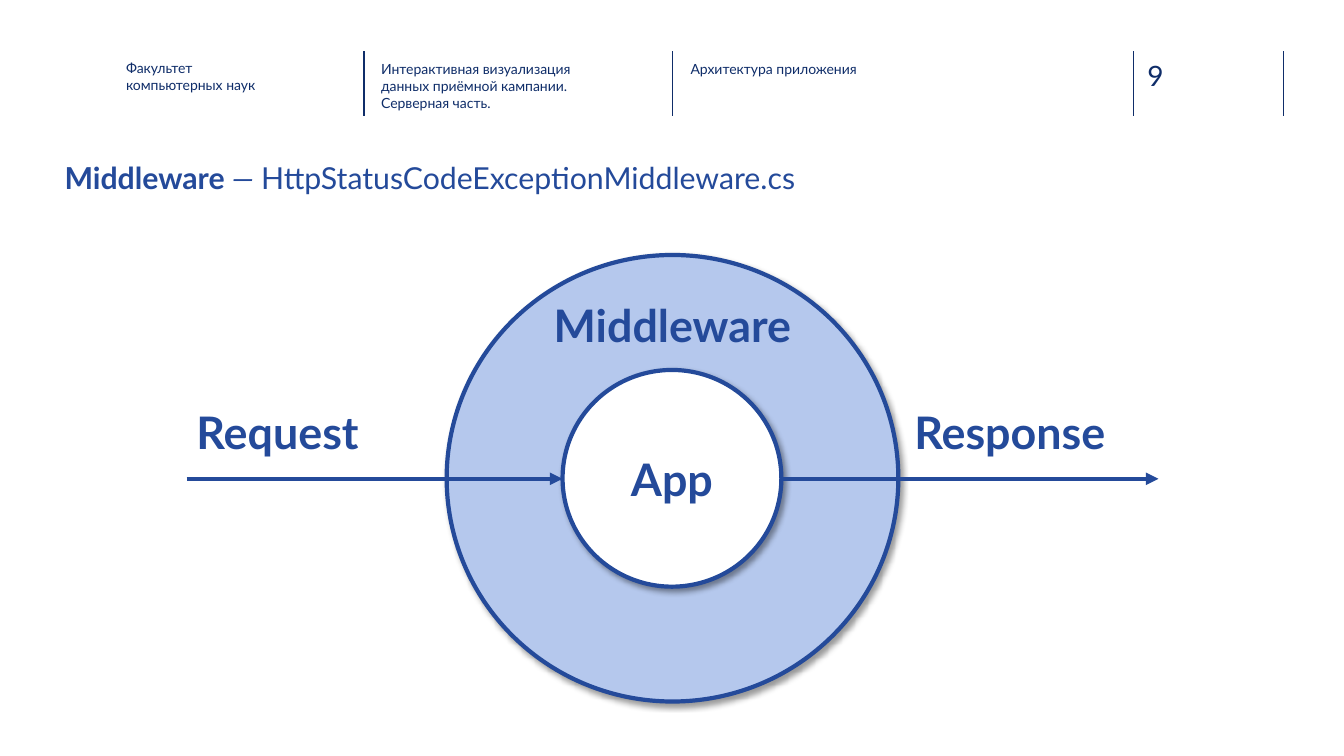
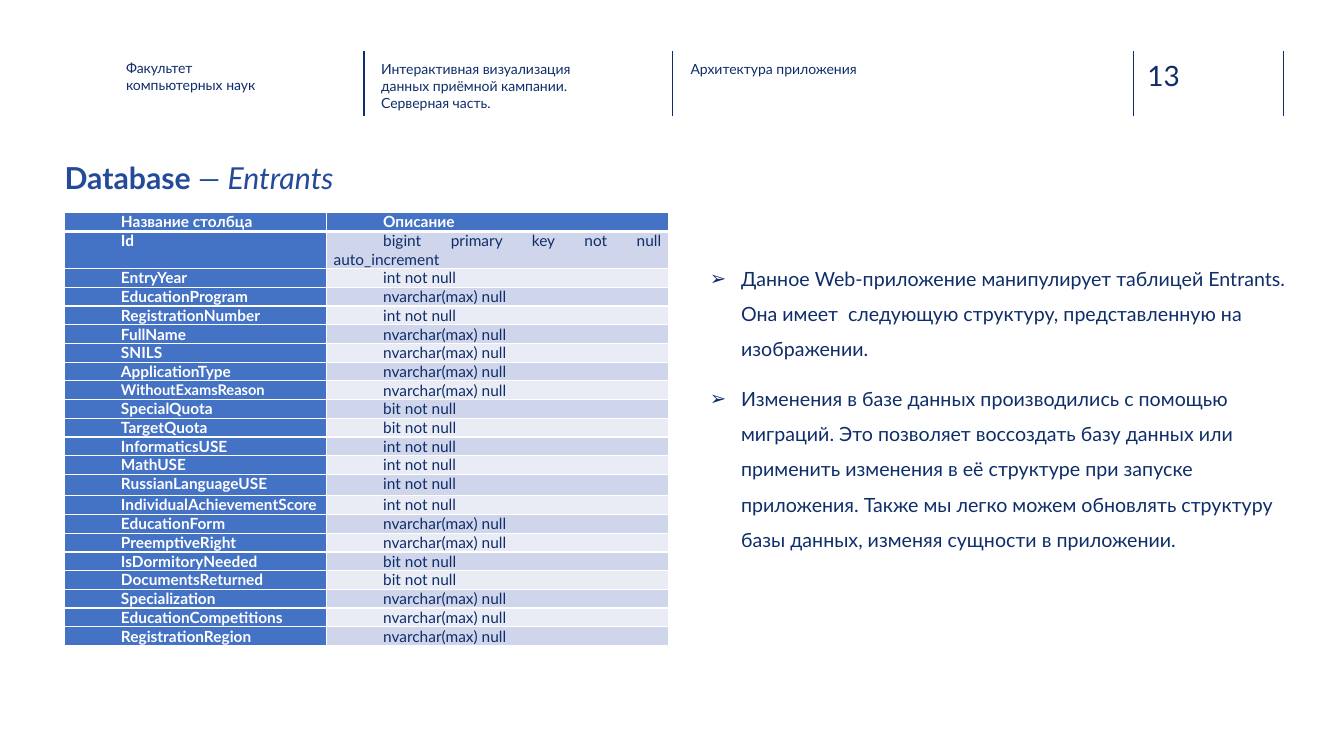
from dataclasses import dataclass

from lxml import etree
from pptx import Presentation
from pptx.dml.color import RGBColor
from pptx.enum.shapes import MSO_CONNECTOR as Connector, MSO_SHAPE as Shape
from pptx.enum.text import MSO_ANCHOR as Anchor, MSO_AUTO_SIZE as AutoSize, PP_ALIGN as Align
from pptx.oxml.ns import qn
from pptx.util import Inches, Pt


@dataclass(frozen=True)
class Theme:
    font: str = "Lato"
    navy: str = "0F2D69"
    blue: str = "244A9A"
    pale_blue: str = "B5C8ED"
    table_blue: str = "4472C4"
    band_dark: str = "CFD5EA"
    band_light: str = "E9EBF5"
    white: str = "FFFFFF"
    black: str = "000000"
    header_size: float = 10
    number_size: float = 20
    title_size: float = 21.6
    body_size: float = 14
    diagram_size: float = 32
    table_size: float = 11
    tight_size: float = 10.5
    thin: float = 1
    thick: float = 3


THEME = Theme()
TITLE_ONLY, TITLE_AND_CONTENT = 5, 1
HEADER_RULES = (3.61, 6.67, 11.24, 12.73)
HEADER_TEXTS = (
    (1.25, 0.59, 2.08, ("Факультет", "компьютерных наук")),
    (3.78, 0.6, 2.26, ("Интерактивная визуализация данных приёмной кампании. Серверная часть.",)),
    (6.85, 0.6, 2.26, ("Архитектура приложения",)),
)
BULLETS = (
    "Данное Web-приложение манипулирует таблицей Entrants. "
    "Она имеет  следующую структуру, представленную на изображении.",
    "Изменения в базе данных производились с помощью миграций. "
    "Это позволяет воссоздать базу данных или применить изменения в её структуре "
    "при запуске приложения. Также мы легко можем обновлять структуру базы данных, "
    "изменяя сущности в приложении.",
)
INT, BIT, TEXT = "int not null", "bit not null", "nvarchar(max) null"
COLUMNS = (
    ("Название столбца", "Описание"),
    ("Id", "bigint primary key not null auto_increment"),
    ("EntryYear", INT),
    ("EducationProgram", TEXT),
    ("RegistrationNumber", INT),
    ("FullName", TEXT),
    ("SNILS", TEXT),
    ("ApplicationType", TEXT),
    ("WithoutExamsReason", TEXT),
    ("SpecialQuota", BIT),
    ("TargetQuota", BIT),
    ("InformaticsUSE", INT),
    ("MathUSE", INT),
    ("RussianLanguageUSE", INT),
    ("IndividualAchievementScore", INT),
    ("EducationForm", TEXT),
    ("PreemptiveRight", TEXT),
    ("IsDormitoryNeeded", BIT),
    ("DocumentsReturned", BIT),
    ("Specialization", TEXT),
    ("EducationCompetitions", TEXT),
    ("RegistrationRegion", TEXT),
)
ROW_HEIGHT = 0.18
ROW_HEIGHTS = {"RussianLanguageUSE": 0.21, "IndividualAchievementScore": 0.19}
TIGHT_NAMES = {"WithoutExamsReason"}


def rgb(color):
    return RGBColor.from_string(color)


def add_run(para, text, size, color, bold=False, italic=False):
    run = para.add_run()
    run.text = text
    font = run.font
    font.name, font.size, font.bold, font.italic = THEME.font, Pt(size), bold, italic
    font.color.rgb = rgb(color)


def place(shape, left, top, width, height):
    shape.left, shape.top = Inches(left), Inches(top)
    shape.width, shape.height = Inches(width), Inches(height)


def prepare_frame(frame, inset=None, anchor=Anchor.TOP):
    frame.word_wrap = True
    frame.auto_size = AutoSize.NONE
    frame.vertical_anchor = anchor
    if inset is not None:
        frame.margin_left = frame.margin_right = Inches(inset)
        frame.margin_top = frame.margin_bottom = Inches(inset)


def add_text(slide, box, lines, size, color, bold=False, align=Align.LEFT, inset=None):
    frame = slide.shapes.add_textbox(*map(Inches, box)).text_frame
    prepare_frame(frame, inset)
    for index, line in enumerate(lines):
        para = frame.add_paragraph() if index else frame.paragraphs[0]
        para.alignment = align
        add_run(para, line, size, color, bold)


def add_line(slide, start, end, color, width, arrow=False):
    line = slide.shapes.add_connector(Connector.STRAIGHT, *map(Inches, start + end))
    line.line.color.rgb = rgb(color)
    line.line.width = Pt(width)
    if arrow:
        etree.SubElement(line.line._get_or_add_ln(), qn("a:tailEnd"), type="triangle")
    etree.SubElement(line._element.spPr, qn("a:effectLst"))


def add_circle(slide, box, fill):
    circle = slide.shapes.add_shape(Shape.OVAL, *map(Inches, box))
    circle.fill.solid()
    circle.fill.fore_color.rgb = rgb(fill)
    circle.line.color.rgb = rgb(THEME.blue)
    circle.line.width = Pt(THEME.thick)
    circle.shadow.inherit = False
    effects = circle._element.spPr.find(qn("a:effectLst"))
    shadow = etree.SubElement(
        effects, qn("a:outerShdw"), blurRad=str(Pt(4)), dist=str(Pt(3)),
        dir="2700000", algn="tl", rotWithShape="0",
    )
    color = etree.SubElement(shadow, qn("a:srgbClr"), val=THEME.black)
    etree.SubElement(color, qn("a:alpha"), val="40000")
    return circle


def add_page(deck, layout, number, title_runs):
    slide = deck.slides.add_slide(deck.slide_layouts[layout])
    for left in HEADER_RULES:
        add_line(slide, (left, 0.51), (left, 1.15), THEME.navy, THEME.thin)
    for left, top, width, lines in HEADER_TEXTS:
        add_text(slide, (left, top, width, 0.45), lines, THEME.header_size, THEME.navy, inset=0)
    add_text(slide, (11.38, 0.58, 0.73, 0.34), [number], THEME.number_size, THEME.navy, inset=0)
    title = slide.shapes.title
    place(title, 0.64, 1.58, 7.78, 0.45)
    prepare_frame(title.text_frame, 0)
    para = title.text_frame.paragraphs[0]
    para.alignment = Align.LEFT
    for text, bold, italic in title_runs:
        add_run(para, text, THEME.title_size, THEME.blue, bold, italic)
    return slide


def add_bullets(slide, box, items):
    body = slide.placeholders[1]
    place(body, *box)
    prepare_frame(body.text_frame, 0)
    for index, item in enumerate(items):
        para = body.text_frame.add_paragraph() if index else body.text_frame.paragraphs[0]
        para.line_spacing = 1.5
        para.space_before = Pt(10)
        add_run(para, item, THEME.body_size, THEME.navy)
        props = para._p.get_or_add_pPr()
        props.set("marL", str(Inches(0.31)))
        props.set("indent", str(Inches(-0.31)))
        etree.SubElement(props, qn("a:buChar"), char="➢")


def set_borders(cell, top, bottom):
    props = cell._tc.get_or_add_tcPr()
    widths = {"lnL": THEME.thin, "lnR": THEME.thin, "lnT": top, "lnB": bottom}
    for tag, width in widths.items():
        line = etree.SubElement(props, qn(f"a:{tag}"), w=str(Pt(width)))
        fill = etree.SubElement(line, qn("a:solidFill"))
        etree.SubElement(fill, qn("a:srgbClr"), val=THEME.white)


def fill_cell(cell, text, row, is_name):
    heading = row == 0 or is_name
    band = THEME.band_dark if row % 2 else THEME.band_light
    set_borders(
        cell,
        THEME.thick if row == 1 else THEME.thin,
        THEME.thick if row == 0 else THEME.thin,
    )
    cell.fill.solid()
    cell.fill.fore_color.rgb = rgb(THEME.table_blue if heading else band)
    cell.margin_left = cell.margin_right = Inches(0.07)
    cell.margin_top = cell.margin_bottom = 0
    para = cell.text_frame.paragraphs[0]
    para.alignment = Align.JUSTIFY
    para._p.get_or_add_pPr().set("indent", str(Inches(0.49)))
    size = THEME.tight_size if text in TIGHT_NAMES else THEME.table_size
    add_run(para, text, size, THEME.white if heading else THEME.navy, heading)


def add_columns_table(slide, left, top, widths, rows):
    heights = [ROW_HEIGHTS.get(name, ROW_HEIGHT) for name, _ in rows]
    box = (left, top, sum(widths), sum(heights))
    table = slide.shapes.add_table(len(rows), len(widths), *map(Inches, box)).table
    table.horz_banding = False
    for column, width in zip(table.columns, widths):
        column.width = Inches(width)
    for row, (values, height) in enumerate(zip(rows, heights)):
        table.rows[row].height = Inches(height)
        for column, text in enumerate(values):
            fill_cell(table.cell(row, column), text, row, column == 0)


def build_middleware(deck):
    slide = add_page(deck, TITLE_ONLY, "9", (
        ("Middleware", True, False),
        (" — ", False, True),
        ("HttpStatusCodeExceptionMiddleware.cs", False, False),
    ))
    add_circle(slide, (4.43, 2.53, 4.48, 4.43), THEME.pale_blue)
    app = add_circle(slide, (5.58, 3.67, 2.17, 2.15), THEME.white)
    prepare_frame(app.text_frame, anchor=Anchor.MIDDLE)
    para = app.text_frame.paragraphs[0]
    para.alignment = Align.CENTER
    add_run(para, "App", THEME.diagram_size, THEME.blue, True)
    for start, end in ((1.85, 5.58), (7.75, 11.49)):
        add_line(slide, (start, 4.75), (end, 4.75), THEME.blue, THEME.thick, arrow=True)
    for text, box, align in (
        ("Middleware", (5.31, 2.9, 2.72, 0.7), Align.CENTER),
        ("Request", (1.85, 3.97, 2.18, 0.64), Align.LEFT),
        ("Response", (8.97, 3.97, 2.51, 0.64), Align.LEFT),
    ):
        add_text(slide, box, [text], THEME.diagram_size, THEME.blue, True, align)


def build_database(deck):
    slide = add_page(deck, TITLE_AND_CONTENT, "13", (
        ("Database ", True, False),
        ("— Entrants", False, True),
    ))
    add_bullets(slide, (7.04, 2.53, 5.74, 3.71), BULLETS)
    add_columns_table(slide, 0.64, 2.11, (2.6, 3.39), COLUMNS)


def main():
    deck = Presentation()
    deck.slide_width, deck.slide_height = Inches(13.33), Inches(7.5)
    build_middleware(deck)
    build_database(deck)
    deck.save("out.pptx")


if __name__ == "__main__":
    main()
